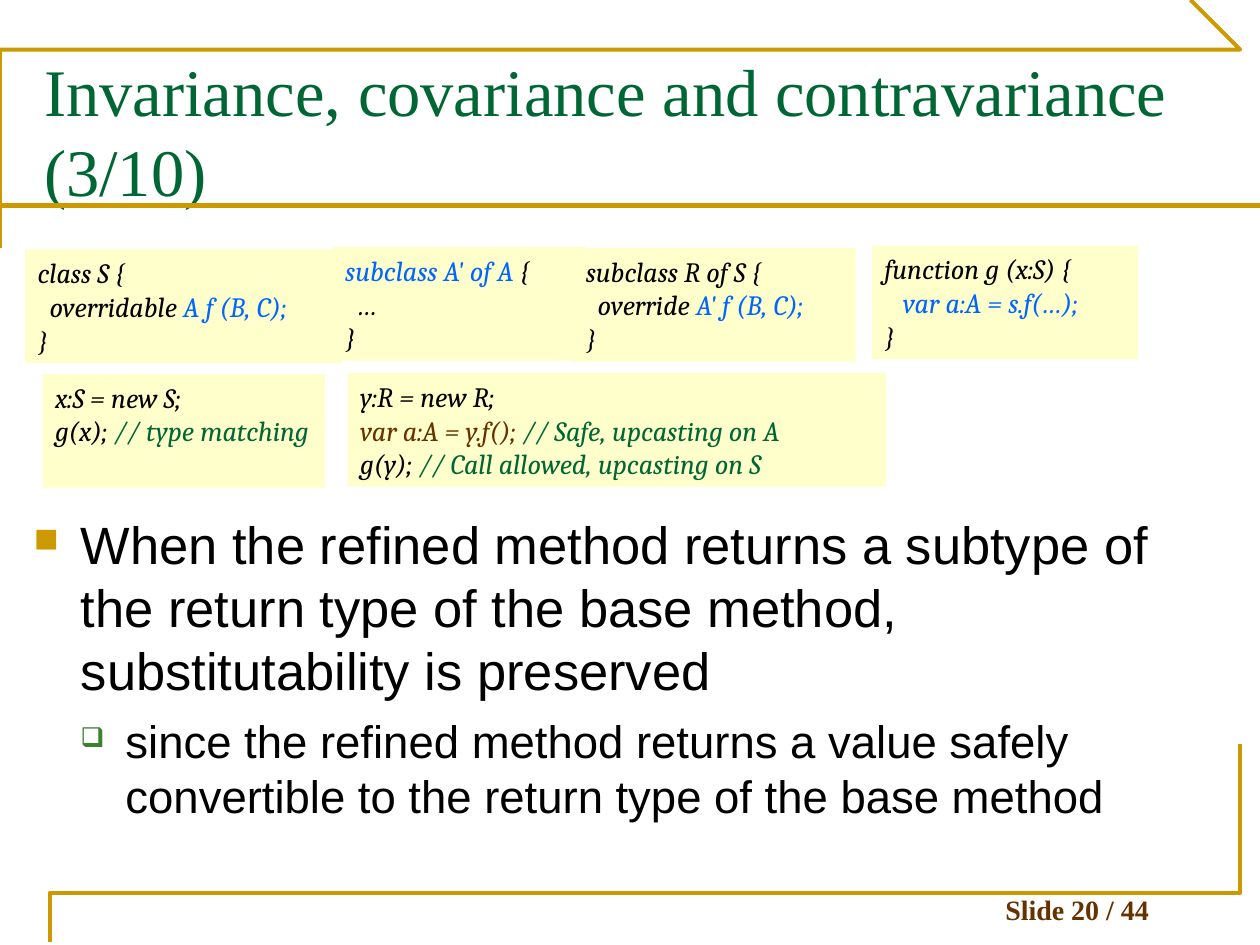
import pptx
import pptx.util
import pptx.dml.color
import pptx.enum.shapes
import pptx.enum.text
import lxml.etree
from pptx.util import Cm, Pt

HUES = {
    "gold": "CC9900", "green": "006633", "leaf": "3B812F", "brown": "663300",
    "blue": "0066FF", "cream": "FFFFCC", "black": "000000",
}
ANCHOR = pptx.enum.text.MSO_ANCHOR
ALIGN = pptx.enum.text.PP_ALIGN
SHAPE = pptx.enum.shapes.MSO_SHAPE


def color(name):
    return pptx.dml.color.RGBColor.from_string(HUES[name])


def write(para, text, size=16, font="Arial", hue="black", bold=False, italic=False):
    """Add one formatted run to a paragraph."""
    run = para.add_run()
    run.text = text
    face = run.font
    face.size, face.name, face.bold, face.italic = Pt(size), font, bold, italic
    face.color.rgb = color(hue)


def setup(frame, top=0.13, anchor=ANCHOR.TOP):
    frame.word_wrap = True
    frame.auto_size = pptx.enum.text.MSO_AUTO_SIZE.NONE
    frame.vertical_anchor = anchor
    frame.margin_left = frame.margin_right = Cm(0.25)
    frame.margin_top, frame.margin_bottom = Cm(top), Cm(0.13)
    return frame


def node(props, tag, **attrs):
    return lxml.etree.SubElement(props, pptx.oxml.ns.qn("a:" + tag), attrs)


def indent(para, left, first=0.0):
    props = para._p.get_or_add_pPr()
    props.set("marL", str(Cm(left)))
    props.set("indent", str(Cm(first)))
    return props


def bullet(para, mark, hue, scale, left, first):
    props = indent(para, left, first)
    node(node(props, "buClr"), "srgbClr", val=HUES[hue])
    node(props, "buSzPct", val=str(scale * 1000))
    node(props, "buChar", char=mark)


def border(slide, box, points):
    """Open gold outline; points are fractions of the box."""
    x, y, w, h = box
    spots = [(x + w * u, y + h * v) for u, v in points]
    build = slide.shapes.build_freeform(*spots[0], scale=float(Cm(1)))
    build.add_line_segments(spots[1:], close=False)
    shape = build.convert_to_shape()
    shape.shadow.inherit = False
    shape.fill.background()
    shape.line.color.rgb = color("gold")
    shape.line.width = Pt(2.25)


def rule(slide, y, width):
    line = slide.shapes.add_connector(
        pptx.enum.shapes.MSO_CONNECTOR.STRAIGHT, 0, Cm(y), Cm(width), Cm(y))
    line.line.color.rgb = color("gold")
    line.line.width = Pt(3)
    node(line._element.spPr, "effectLst")


def title(slide, box, text):
    head = slide.shapes.title
    head.left, head.top, head.width, head.height = map(Cm, box)
    para = setup(head.text_frame, top=0.23).paragraphs[0]
    para.alignment = ALIGN.LEFT
    para.line_spacing = Pt(46)
    write(para, text, size=38, font="Times New Roman", hue="green")


def code(slide, box, lines):
    """Code panel; each line is an indent and its (text, hue) parts."""
    panel = slide.shapes.add_shape(SHAPE.RECTANGLE, *map(Cm, box))
    panel.shadow.inherit = False
    panel.fill.solid()
    panel.fill.fore_color.rgb = color("cream")
    panel.line.fill.background()
    frame = setup(panel.text_frame)
    for i, (left, *parts) in enumerate(lines):
        para = frame.add_paragraph() if i else frame.paragraphs[0]
        para.alignment = ALIGN.LEFT
        indent(para, left)
        for text, hue in parts:
            write(para, text, font="Cambria", hue=hue, italic=True)


def body(slide, box, main, sub):
    frame = setup(slide.shapes.add_textbox(*map(Cm, box)).text_frame, top=0.2)
    para = frame.paragraphs[0]
    para.line_spacing = Pt(36)
    bullet(para, "■", "gold", 65, 0.95, -0.95)
    write(para, main, size=30)
    para = frame.add_paragraph()
    para.level = 1
    para.line_spacing, para.space_before = Pt(31), Pt(7)
    bullet(para, "❑", "leaf", 60, 1.85, -0.91)
    write(para, sub, size=26)


def footer(slide, box, text):
    frame = slide.shapes.add_textbox(*map(Cm, box)).text_frame
    para = setup(frame, anchor=ANCHOR.BOTTOM).paragraphs[0]
    para.alignment = ALIGN.CENTER
    write(para, text, font="Times New Roman", hue="brown", bold=True)


def main():
    deck = pptx.Presentation()
    deck.slide_width, deck.slide_height = Cm(25.4), Cm(19.05)
    slide = deck.slides.add_slide(deck.slide_layouts[5])

    # Frame and footer
    border(slide, (0.43, 0.03, 24.26, 4.5), [(0, 1), (0, 0.13), (1, 0.15), (0.97, 0)])
    border(slide, (0.51, 14.94, 24.26, 3.65), [(0.03, 1), (0, 0.84), (1, 0.84), (1, 0)])
    rule(slide, 4.14, 25.4)
    footer(slide, (18.72, 17.96, 5.99, 0.84), "Slide 20 / 44")

    # Title and body
    title(slide, (0.64, 0.76, 23.93, 3.18),
          "Invariance, covariance and contravariance (3/10)")
    body(slide, (0.43, 10.13, 24.13, 7.65),
         "When the refined method returns a subtype of the return type of "
         "the base method, substitutability is preserved",
         "since the refined method returns a value safely convertible to "
         "the return type of the base method")

    # Code panels: left, top, width, then lines
    end = (0, ("}", "black"))
    panels = [
        (0.51, 5.03, 6.38, [
            (0, ("class S {", "black")),
            (0.24, ("overridable ", "black"), ("A f (B, C);", "blue")), end]),
        (6.71, 4.98, 5.11, [
            (0, ("subclass A' of A", "blue"), (" {", "black")),
            (0.24, ("…", "black")), end]),
        (11.56, 5.0, 5.69, [
            (0, ("subclass R of S {", "black")),
            (0.24, ("override ", "black"), ("A' f (B, C);", "blue")), end]),
        (17.58, 4.95, 5.36, [
            (0, ("function g (x:S) {", "black")),
            (0.37, ("var a:A = s.f(…);", "blue")), end]),
        (0.86, 7.54, 5.69, [
            (0, ("x:S = new S;", "black")),
            (0, ("g(x); ", "black"), ("// type matching", "green"))]),
        (7.01, 7.52, 10.85, [
            (0, ("y:R = new R;", "black")),
            (0, ("var a:A = y.f(); ", "brown"), ("// Safe, upcasting on A", "green")),
            (0, ("g(y); ", "black"), ("// Call allowed, upcasting on S", "green"))]),
    ]
    for left, top, width, lines in panels:
        code(slide, (left, top, width, 2.29), lines)

    deck.save("out.pptx")


if __name__ == "__main__":
    main()
